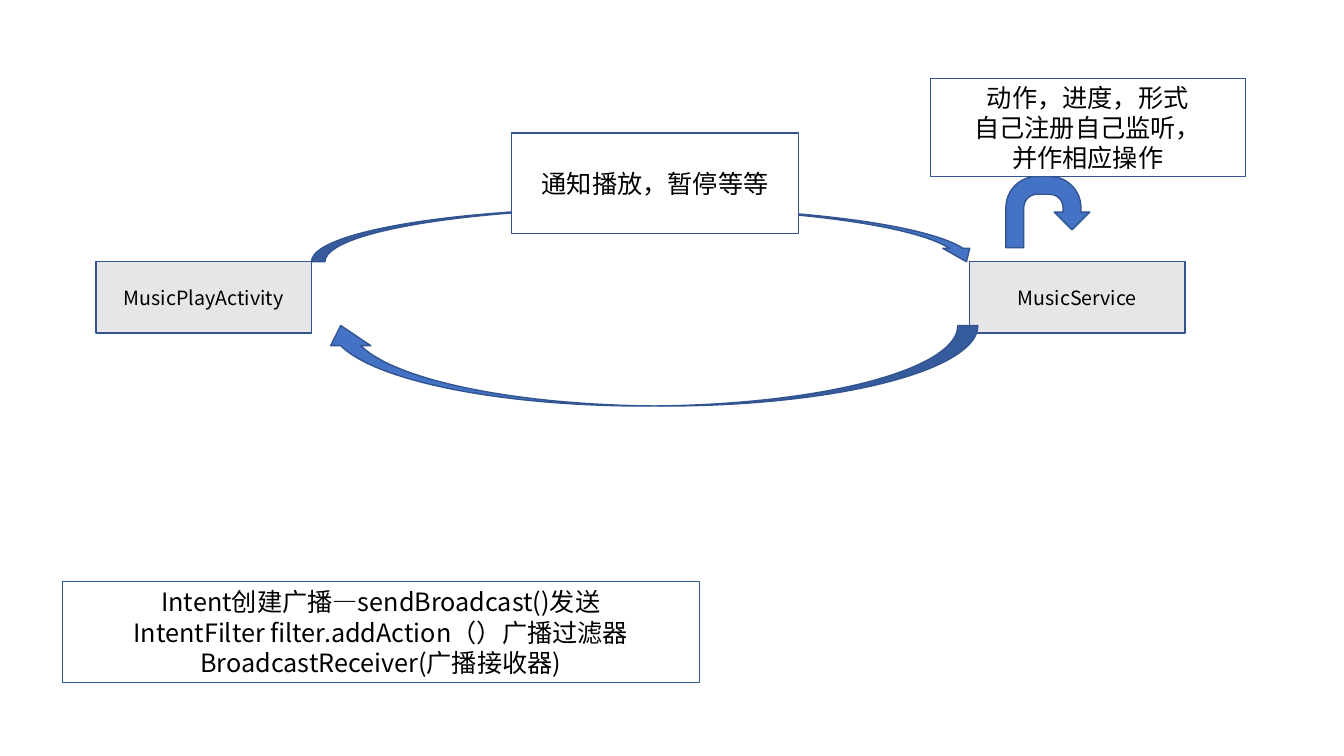
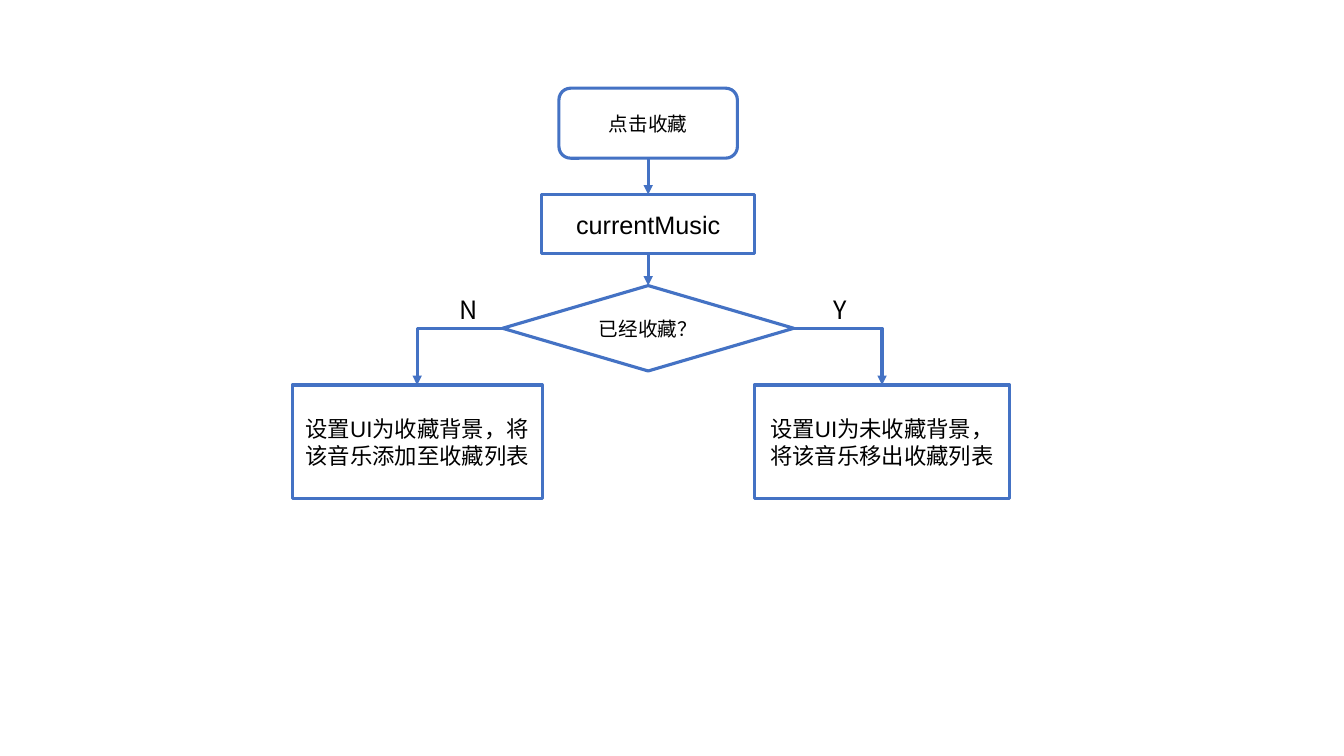
from lxml.etree import SubElement
from pptx import Presentation
from pptx.dml.color import RGBColor
from pptx.enum.shapes import MSO_CONNECTOR, MSO_SHAPE
from pptx.enum.text import MSO_ANCHOR, MSO_AUTO_SIZE, PP_ALIGN
from pptx.oxml.ns import qn
from pptx.util import Pt

COLORS = {
    "accent": "4472C4",
    "outline": "325491",
    "panel": "E7E6E6",
    "paper": "FFFFFF",
    "text": "000000",
}
CJK_FONT = "Noto Sans CJK SC"
LATIN_FONT = "Arial"
BLANK_LAYOUT = 6
TOP, LEFT, BOTTOM, RIGHT = range(4)


def color(name):
    """Return the named colour of the palette."""
    return RGBColor.from_string(COLORS[name])


def write_text(shape, text, size=18, font=CJK_FONT, align=PP_ALIGN.CENTER, anchor=MSO_ANCHOR.MIDDLE):
    """Write one paragraph per line of text into a shape."""
    frame = shape.text_frame
    frame.word_wrap = True
    frame.vertical_anchor = anchor
    frame.text = text
    for paragraph in frame.paragraphs:
        paragraph.alignment = align
        for run in paragraph.runs:
            run.font.size = Pt(size)
            run.font.name = font
            run.font.color.rgb = color("text")
            SubElement(run.font._element, qn("a:ea"), typeface=CJK_FONT)


def add_block(slide, kind, left, top, width, height, fill="paper", line="outline", weight=1):
    """Add a filled and outlined preset shape."""
    shape = slide.shapes.add_shape(kind, Pt(left), Pt(top), Pt(width), Pt(height))
    shape.shadow.inherit = False
    shape.fill.solid()
    shape.fill.fore_color.rgb = color(fill)
    shape.line.color.rgb = color(line)
    shape.line.width = Pt(weight)
    return shape


def add_step(slide, kind, center, top, width, height, text, size):
    """Add a flowchart step centred on a horizontal position."""
    step = add_block(slide, kind, center - width / 2, top, width, height, line="accent", weight=2.25)
    write_text(step, text, size=size, font=LATIN_FONT)
    return step


def add_arrow(slide, start, start_site, end, bent=False):
    """Connect a step to the top of the next one with an arrow."""
    kind = MSO_CONNECTOR.ELBOW if bent else MSO_CONNECTOR.STRAIGHT
    arrow = slide.shapes.add_connector(kind, Pt(0), Pt(0), Pt(0), Pt(0))
    arrow.begin_connect(start, start_site)
    arrow.end_connect(end, TOP)
    arrow.line.color.rgb = color("accent")
    arrow.line.width = Pt(2.25)
    properties = arrow.element.spPr
    if bent:
        properties.find(qn("a:prstGeom")).set("prst", "bentConnector2")
    SubElement(properties.find(qn("a:ln")), qn("a:tailEnd"), type="triangle")
    SubElement(properties, qn("a:effectLst"))


def add_label(slide, left, top, text):
    """Add a branch label."""
    label = slide.shapes.add_textbox(Pt(left), Pt(top), Pt(34.5), Pt(29))
    write_text(label, text, align=PP_ALIGN.LEFT, anchor=MSO_ANCHOR.TOP)
    label.text_frame.auto_size = MSO_AUTO_SIZE.SHAPE_TO_FIT_TEXT


def build_broadcast_slide(slide):
    """Show how the activity and the service exchange broadcasts."""
    for left, name in ((68.5, "MusicPlayActivity"), (692.5, "MusicService")):
        component = add_block(slide, MSO_SHAPE.RECTANGLE, left, 187, 154, 51, fill="panel")
        write_text(component, name, size=14)

    add_block(slide, MSO_SHAPE.CURVED_DOWN_ARROW, 222.5, 148.5, 477.5, 38.5, fill="accent")
    reply = add_block(slide, MSO_SHAPE.CURVED_DOWN_ARROW, 229, 232.5, 469.5, 57.5, fill="accent")
    reply.rotation = 180
    add_block(slide, MSO_SHAPE.U_TURN_ARROW, 718.5, 126, 60, 51, fill="accent")

    notes = (
        (44.5, 415.5, 455, 72,
         "Intent创建广播—sendBroadcast()发送\n"
         "IntentFilter filter.addAction（）广播过滤器\n"
         "BroadcastReceiver(广播接收器)"),
        (664.5, 56, 225, 70, "动作，进度，形式\n自己注册自己监听，\n并作相应操作"),
        (365.5, 95, 205, 72, "通知播放，暂停等等"),
    )
    for left, top, width, height, text in notes:
        note = add_block(slide, MSO_SHAPE.RECTANGLE, left, top, width, height)
        write_text(note, text)


def build_favorite_slide(slide):
    """Show the decision flow for adding or removing a favourite."""
    center = 463
    click = add_step(slide, MSO_SHAPE.ROUNDED_RECTANGLE, center, 63, 127.5, 50, "点击收藏", 14)
    current = add_step(slide, MSO_SHAPE.RECTANGLE, center, 139, 152, 42, "currentMusic", 18)
    decision = add_step(slide, MSO_SHAPE.DIAMOND, center, 204, 208, 61, "已经收藏？", 14)
    add = add_step(slide, MSO_SHAPE.RECTANGLE, 298, 275, 178.5, 81,
                   "设置UI为收藏背景，将该音乐添加至收藏列表", 16)
    remove = add_step(slide, MSO_SHAPE.RECTANGLE, 630, 275, 182.5, 81,
                      "设置UI为未收藏背景，将该音乐移出收藏列表", 16)

    add_arrow(slide, click, BOTTOM, current)
    add_arrow(slide, current, BOTTOM, decision)
    add_arrow(slide, decision, LEFT, add, bent=True)
    add_arrow(slide, decision, RIGHT, remove, bent=True)
    add_label(slide, 588, 206.5, "Y")
    add_label(slide, 321, 206.5, "N")


def main():
    """Build and save the presentation."""
    presentation = Presentation()
    presentation.slide_width = Pt(960)
    presentation.slide_height = Pt(540)
    layout = presentation.slide_layouts[BLANK_LAYOUT]
    for build in (build_broadcast_slide, build_favorite_slide):
        build(presentation.slides.add_slide(layout))
    presentation.save("out.pptx")


if __name__ == "__main__":
    main()
